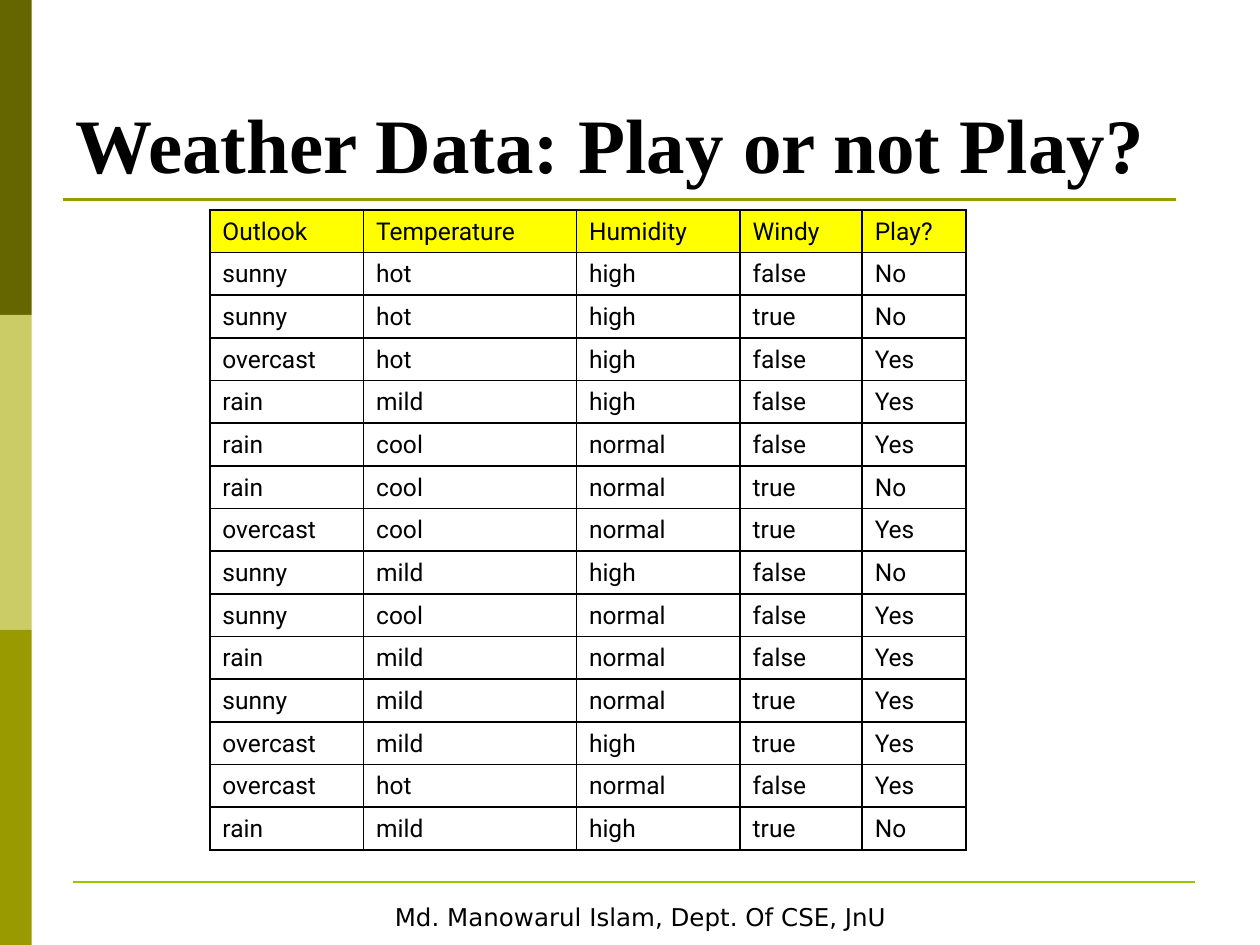
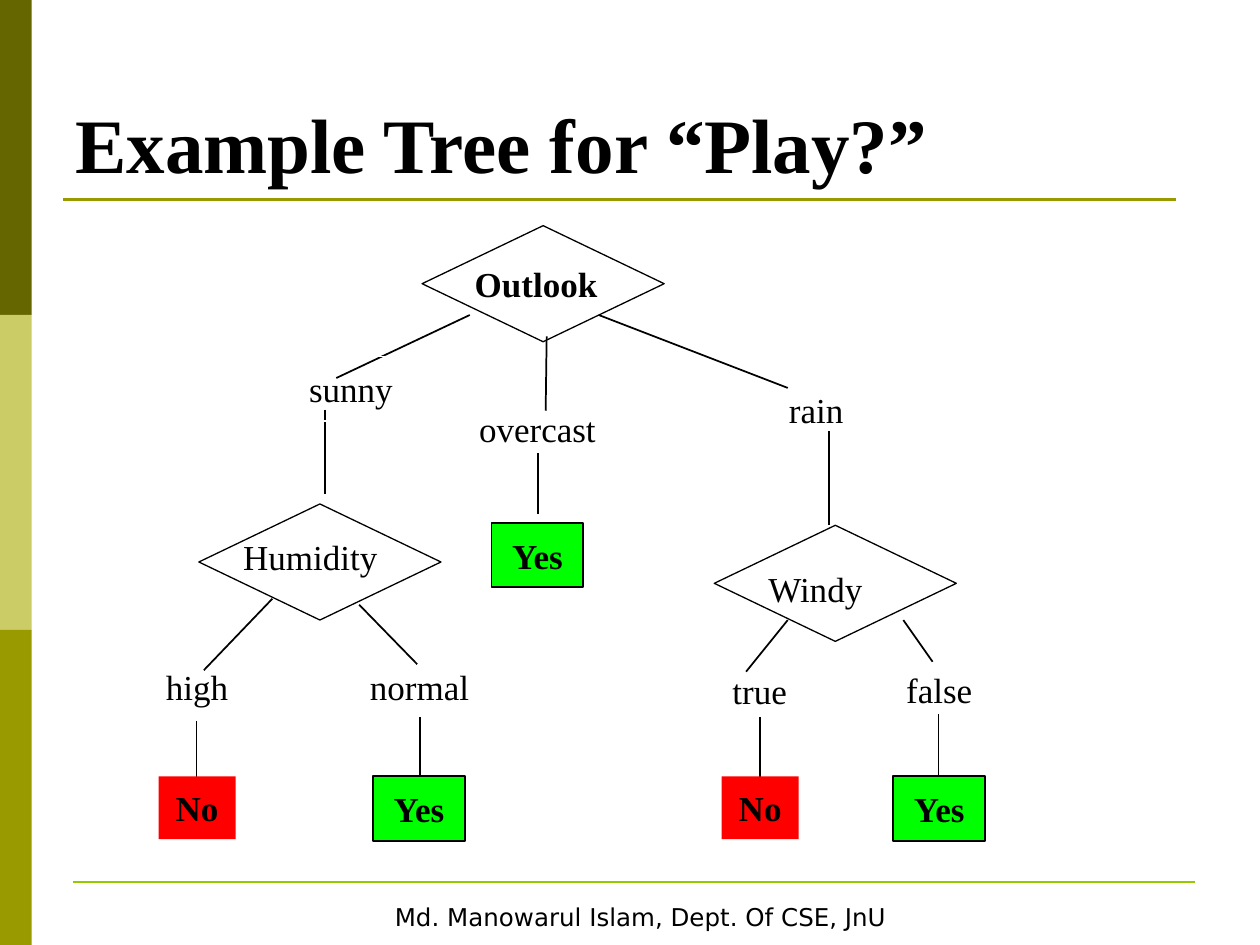
from pptx import Presentation
from pptx.dml.color import RGBColor
from pptx.enum.shapes import MSO_CONNECTOR, MSO_SHAPE
from pptx.enum.text import MSO_ANCHOR, PP_ALIGN
from pptx.oxml.ns import qn
from pptx.util import Cm, Pt
from lxml.etree import SubElement

# Colours and fonts
BLACK = RGBColor(0x00, 0x00, 0x00)
WHITE = RGBColor(0xFF, 0xFF, 0xFF)
DARK = RGBColor(0x66, 0x66, 0x00)
PALE = RGBColor(0xCC, 0xCC, 0x66)
OLIVE = RGBColor(0x99, 0x99, 0x00)
LIME = RGBColor(0x96, 0xC8, 0x00)
YELLOW = RGBColor(0xFF, 0xFF, 0x00)
RED = RGBColor(0xFF, 0x00, 0x00)
GREEN = RGBColor(0x00, 0xFF, 0x00)
SERIF = "Times New Roman"
SANS = "DejaVu Sans"
CELL = "Roboto"

# Weather table
WIDTHS = [3.1, 4.29, 3.3, 2.46, 2.09]
ROW = 0.86
WEATHER = [
    ("Outlook", "Temperature", "Humidity", "Windy", "Play?"),
    ("sunny", "hot", "high", "false", "No"),
    ("sunny", "hot", "high", "true", "No"),
    ("overcast", "hot", "high", "false", "Yes"),
    ("rain", "mild", "high", "false", "Yes"),
    ("rain", "cool", "normal", "false", "Yes"),
    ("rain", "cool", "normal", "true", "No"),
    ("overcast", "cool", "normal", "true", "Yes"),
    ("sunny", "mild", "high", "false", "No"),
    ("sunny", "cool", "normal", "false", "Yes"),
    ("rain", "mild", "normal", "false", "Yes"),
    ("sunny", "mild", "normal", "true", "Yes"),
    ("overcast", "mild", "high", "true", "Yes"),
    ("overcast", "hot", "normal", "false", "Yes"),
    ("rain", "mild", "high", "true", "No"),
]

# Tree parts, in cm
LABELS = [  # text, left, top, width
    ("overcast", 9.17, 8, 3.33),
    ("high", 2.97, 13.21, 2.01),
    ("normal", 7.01, 13.21, 2.9),
    ("false", 17.88, 13.26, 2.11),
    ("true", 14.4, 13.28, 1.83),
    ("rain", 15.54, 7.62, 1.83),
]
EDGES = [  # start x, start y, end x, end y
    (9.47, 6.35, 6.78, 7.62),
    (11.02, 6.78, 11, 8.28),
    (12.07, 6.35, 15.88, 7.82),
    (5.49, 12.07, 4.11, 13.51),
    (7.24, 12.19, 8.41, 13.39),
    (15.88, 12.5, 15.04, 13.54),
    (18.21, 12.5, 18.8, 13.34),
]
DROP = 1.22
DROPS = [(3.96, 14.53), (18.92, 14.4), (15.32, 14.45), (8.46, 14.45),
         (10.85, 9.14)]
STEMS = [(6.55, 8.26, 6.55, 9.96), (16.71, 8.69, 16.71, 10.59)]
NO_AT = [(3.2, 15.65), (14.55, 15.65)]
YES_AT = [(7.52, 15.65), (18.01, 15.65), (9.91, 10.54)]
TESTS = [  # name, diamond corner, text box, bold
    ("Outlook", (8.51, 4.55), (9.32, 5.08, 3.48), True),
    ("Humidity", (4.01, 10.16), (4.65, 10.59, 3.76), False),
    ("Windy", (14.4, 10.59), (15.24, 11.23, 2.82), False),
]


def write(frame, text, size=20, font=SERIF, bold=False,
          align=PP_ALIGN.CENTER, anchor=MSO_ANCHOR.MIDDLE):
    frame.word_wrap = True
    frame.vertical_anchor = anchor
    para = frame.paragraphs[0]
    para.alignment = align
    run = para.add_run()
    run.text = text
    run.font.size = Pt(size)
    run.font.name = font
    run.font.bold = bold
    run.font.color.rgb = BLACK


def label(slide, text, left, top, width, height=1.27, **style):
    box = slide.shapes.add_textbox(Cm(left), Cm(top), Cm(width), Cm(height))
    write(box.text_frame, text, **style)


def block(slide, left, top, width, height, fill=None, line=None, weight=1,
          kind=MSO_SHAPE.RECTANGLE):
    shape = slide.shapes.add_shape(
        kind, Cm(left), Cm(top), Cm(width), Cm(height))
    shape.shadow.inherit = False
    if fill is None:
        shape.fill.background()
    else:
        shape.fill.solid()
        shape.fill.fore_color.rgb = fill
    if line is None:
        shape.line.fill.background()
    else:
        shape.line.color.rgb = line
        shape.line.width = Pt(weight)
    return shape


def link(slide, x1, y1, x2, y2, color=BLACK, weight=1):
    line = slide.shapes.add_connector(
        MSO_CONNECTOR.STRAIGHT, Cm(x1), Cm(y1), Cm(x2), Cm(y2))
    line.line.color.rgb = color
    line.line.width = Pt(weight)
    SubElement(line._element.spPr, qn("a:effectLst"))


def border(cell):
    props = cell._tc.get_or_add_tcPr()
    for spot, side in enumerate(("lnL", "lnR", "lnT", "lnB")):
        edge = props.makeelement(qn(f"a:{side}"), {"w": str(Pt(1))})
        fill = SubElement(edge, qn("a:solidFill"))
        SubElement(fill, qn("a:srgbClr"), val=str(BLACK))
        props.insert(spot, edge)


def grid(slide, left, top, rows):
    frame = slide.shapes.add_table(
        len(rows), len(WIDTHS), Cm(left), Cm(top),
        Cm(sum(WIDTHS)), Cm(ROW * len(rows)))
    table = frame.table
    for col, width in zip(table.columns, WIDTHS):
        col.width = Cm(width)
    for r, words in enumerate(rows):
        table.rows[r].height = Cm(ROW)
        for c, word in enumerate(words):
            cell = table.cell(r, c)
            if r == 0:
                cell.fill.solid()
                cell.fill.fore_color.rgb = YELLOW
            else:
                cell.fill.background()
            write(cell.text_frame, word, size=14, font=CELL,
                  align=PP_ALIGN.LEFT)
            cell.vertical_anchor = MSO_ANCHOR.BOTTOM
            border(cell)


def start(deck, title):
    """Add a slide with the side bands, rules, footer and title."""
    slide = deck.slides.add_slide(deck.slide_layouts[6])
    for i, color in enumerate((DARK, PALE, OLIVE)):
        block(slide, 0, 6.35 * i, 0.64, 6.35, fill=color)
    link(slide, 1.27, 4.02, 23.7, 4.02, OLIVE, 1.5)
    link(slide, 1.47, 17.78, 24.08, 17.78, LIME, 1.5)
    foot = block(slide, 1.27, 18.03, 23.29, 0.89, WHITE, WHITE, 2)
    write(foot.text_frame, "Md. Manowarul Islam, Dept. Of CSE, JnU",
          size=14, font=SANS)
    label(slide, title, 1.27, 0.76, 22.86, 3.18, size=44, bold=True,
          align=PP_ALIGN.LEFT, anchor=MSO_ANCHOR.BOTTOM)
    return slide


def tree(slide):
    # Branches and their values
    for edge in EDGES:
        link(slide, *edge)
    for x, y in DROPS:
        link(slide, x, y, x, y + DROP)
    for stem in STEMS:
        link(slide, *stem, weight=0.75)
    for item in LABELS:
        label(slide, *item)
    sunny = block(slide, 5.79, 7.19, 2.57, 1.3, line=WHITE)
    write(sunny.text_frame, "sunny")
    # Leaves
    for x, y in NO_AT:
        leaf = block(slide, x, y, 1.55, 1.27, fill=RED)
        write(leaf.text_frame, "No", bold=True)
    for x, y in YES_AT:
        leaf = block(slide, x, y, 1.85, 1.3, fill=GREEN, line=BLACK)
        write(leaf.text_frame, "Yes", bold=True)
    # Tests
    for name, spot, box, bold in TESTS:
        block(slide, *spot, 4.88, 2.34, line=BLACK, weight=0.75,
              kind=MSO_SHAPE.DIAMOND)
        label(slide, name, *box, bold=bold, align=PP_ALIGN.LEFT)


def main():
    deck = Presentation()
    deck.slide_width, deck.slide_height = Cm(25.4), Cm(19.05)
    grid(start(deck, "Weather Data: Play or not Play?"), 4.23, 4.23, WEATHER)
    tree(start(deck, "Example Tree for “Play?”"))
    deck.save("out.pptx")


if __name__ == "__main__":
    main()
